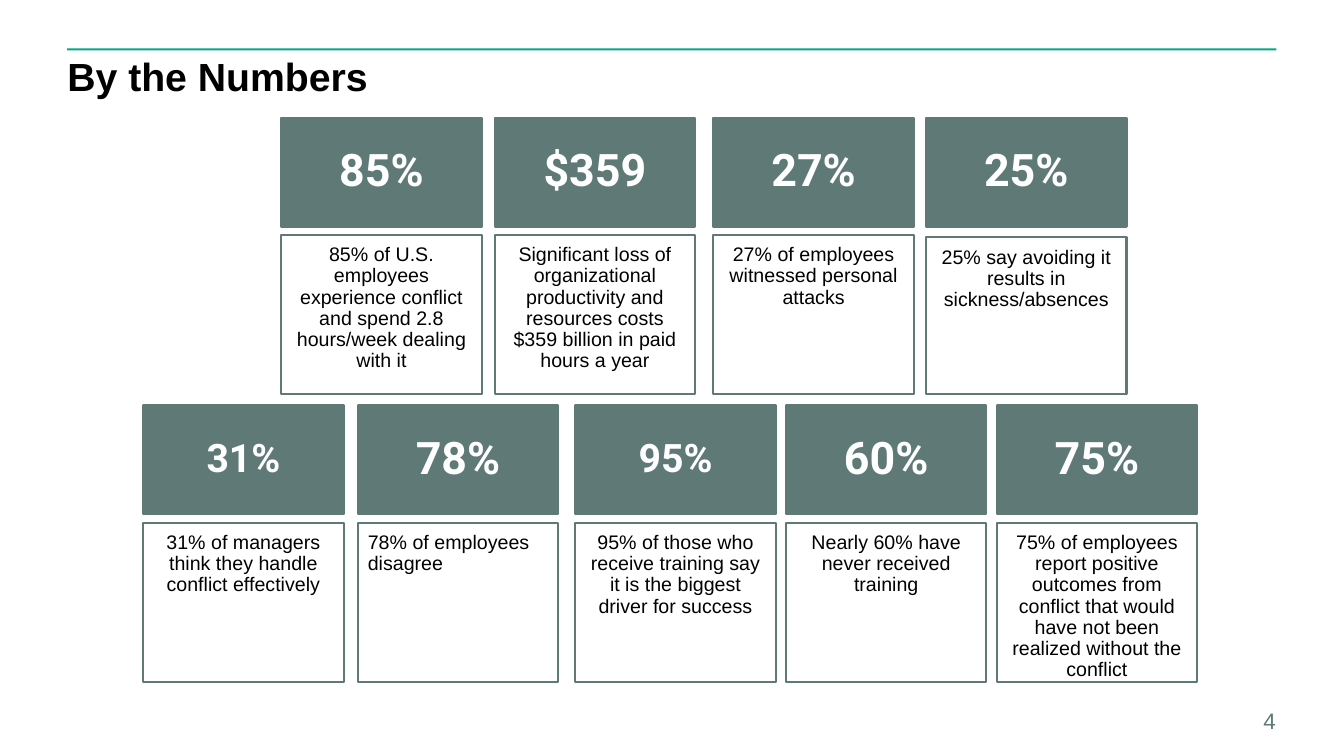
from dataclasses import dataclass
from pptx import Presentation, util as u
from pptx.dml.color import RGBColor
from pptx.enum import shapes, text


@dataclass
class Theme:
    slate: str = "5F7A76"
    green: str = "01A982"
    black: str = "000000"
    white: str = "FFFFFF"
    sans: str = "Arial"
    bold: str = "Roboto"
    title: int = 28
    stat: int = 32
    small: int = 28
    body: int = 14
    page: int = 16


theme = Theme()
LEFT, CENTER, RIGHT = text.PP_ALIGN.LEFT, text.PP_ALIGN.CENTER, text.PP_ALIGN.RIGHT
TOP, MIDDLE, BOTTOM = text.MSO_ANCHOR.TOP, text.MSO_ANCHOR.MIDDLE, text.MSO_ANCHOR.BOTTOM


def add_box(x, y, w, h, fill=None, line=None):
    box = slide.shapes.add_shape(shapes.MSO_SHAPE.RECTANGLE,
                                 u.Cm(x), u.Cm(y), u.Cm(w), u.Cm(h))
    box.shadow.inherit = False
    if fill:
        box.fill.solid()
        box.fill.fore_color.rgb = RGBColor.from_string(fill)
    else:
        box.fill.background()
    if line:
        box.line.color.rgb = RGBColor.from_string(line)
        box.line.width = u.Pt(1.5)
    else:
        box.line.fill.background()
    return box


def set_text(box, words, size, color, font=theme.sans, bold=False,
             align=LEFT, anchor=TOP, inset=0, space=0.9, wrap=True):
    frame = box.text_frame
    frame.text = words
    frame.word_wrap = wrap
    frame.vertical_anchor = anchor
    frame.margin_left = frame.margin_right = u.Cm(inset)
    frame.margin_top = frame.margin_bottom = u.Cm(inset)
    para = frame.paragraphs[0]
    para.alignment = align
    para.line_spacing = space
    face = para.runs[0].font
    face.name, face.size, face.bold = font, u.Pt(size), bold
    face.color.rgb = RGBColor.from_string(color)


deck = Presentation()
deck.slide_width, deck.slide_height = u.Cm(33.87), u.Cm(19.05)
slide = deck.slides.add_slide(deck.slide_layouts[6])

# Top rule and title
add_box(1.69, 1.22, 30.48, 0.05, fill=theme.green)
title = slide.shapes.add_textbox(u.Cm(1.7), u.Cm(1.45), u.Cm(30.48), u.Cm(2.36))
set_text(title, "By the Numbers", theme.title, theme.black, bold=True)

# Cards: left edge, figure, figure size, alignment, drop of the lower box, note
rows = [
    (2.97, [
        (7.09, "85%", theme.stat, CENTER, 0,
         "85% of U.S. employees experience conflict and spend 2.8 hours/week dealing with it"),
        (12.47, "$359", theme.stat, CENTER, 0,
         "Significant loss of organizational productivity and resources costs "
         "$359 billion in paid hours a year"),
        (17.98, "27%", theme.stat, CENTER, 0,
         "27% of employees witnessed personal attacks"),
        (23.34, "25%", theme.stat, CENTER, 0.06,
         "25% say avoiding it results in sickness/absences"),
    ]),
    (10.22, [
        (3.61, "31%", theme.small, CENTER, 0,
         "31% of managers think they handle conflict effectively"),
        (9.02, "78%", theme.stat, LEFT, 0,
         "78% of employees disagree"),
        (14.5, "95%", theme.small, CENTER, 0,
         "95% of those who receive training say it is the biggest driver for success"),
        (19.81, "60%", theme.stat, CENTER, 0,
         "Nearly 60% have never received training"),
        (25.12, "75%", theme.stat, CENTER, 0,
         "75% of employees report positive outcomes from conflict that would "
         "have not been realized without the conflict"),
    ]),
]
WIDE, HEAD, STEP, NOTE = 5.05, 2.74, 2.95, 4.02

for top, cards in rows:
    for x, stat, size, align, drop, note in cards:
        head = add_box(x, top, WIDE, HEAD, theme.slate, theme.slate)
        set_text(head, stat, size, theme.white, theme.bold, True,
                 CENTER, MIDDLE, inset=0.13)
        body = add_box(x, top + STEP + drop, WIDE, NOTE - drop, line=theme.slate)
        set_text(body, note, theme.body, theme.black, align=align, inset=0.25)

# Page number
page = slide.shapes.add_textbox(u.Cm(30.68), u.Cm(17.86), u.Cm(1.47), u.Cm(0.64))
set_text(page, "4", theme.page, theme.slate, align=RIGHT, anchor=BOTTOM,
         space=1.0, wrap=False)

deck.save("out.pptx")
